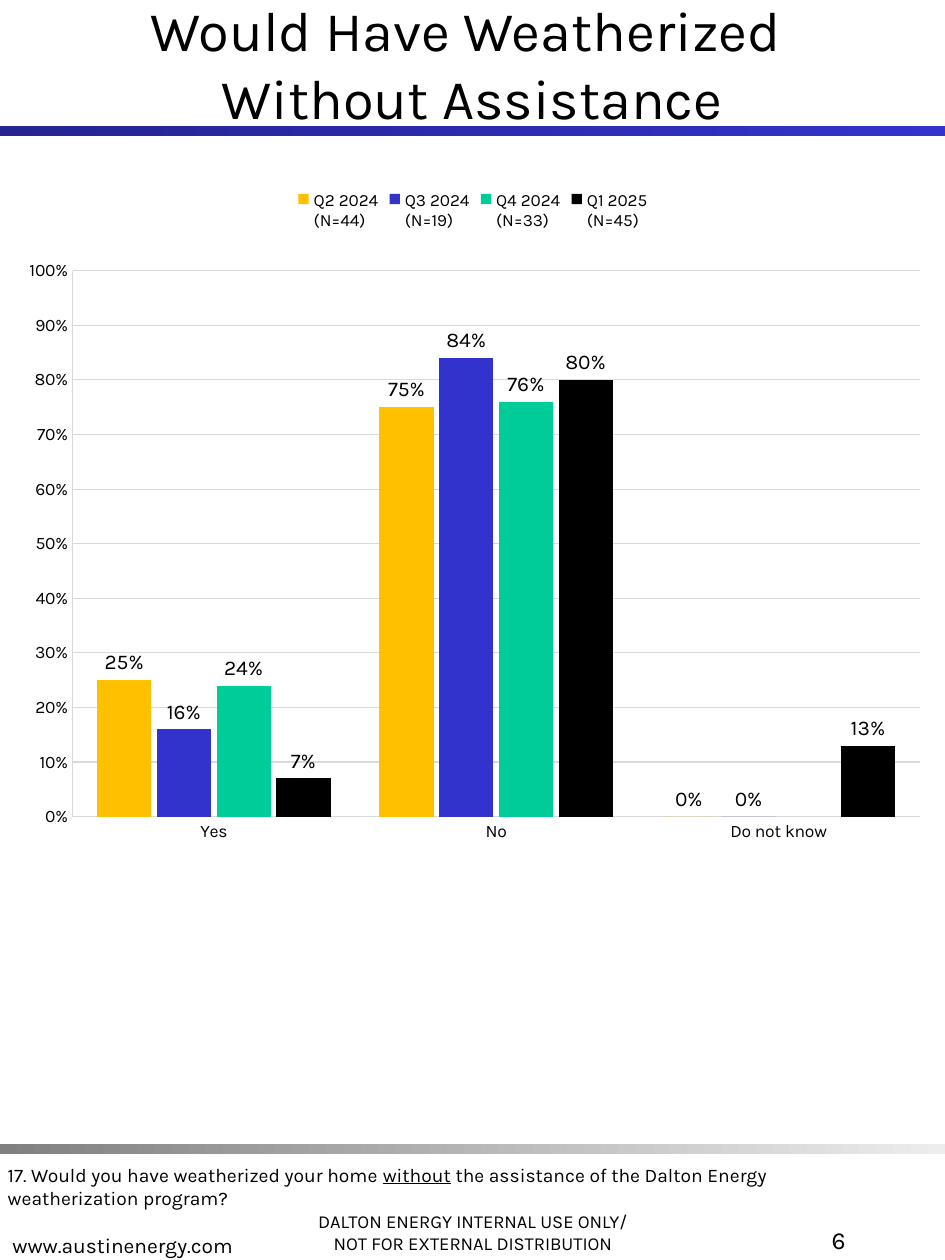
"""Build the weatherization survey slide with its clustered column chart."""
import lxml.etree
import pptx
import pptx.chart.data
import pptx.dml.color
import pptx.enum.chart
import pptx.enum.shapes
import pptx.enum.text
import pptx.oxml
import pptx.oxml.ns
import pptx.util

THEME = {
    "font": "Karla",
    "text": "000000",
    "rule": "D9D9D9",
    "title_bar": ("242492", "3333CC"),
    "footer_bar": ("808080", "EDEDED"),
    "series": ("FFC000", "3233CC", "00CC9A", "000000"),
    "title_size": 32,
    "number_size": 14,
    "label_size": 12,
    "url_size": 12,
    "question_size": 11,
    "notice_size": 10.5,
    "axis_size": 10,
    "legend_size": 9.8,
}

presentation = pptx.Presentation()
presentation.slide_width = pptx.util.Inches(7.5)
presentation.slide_height = pptx.util.Inches(10)
slide = presentation.slides.add_slide(presentation.slide_layouts[5])


def area(column, row, columns, rows):
    """Turn percentages of the slide into left, top, width and height."""
    across, down = presentation.slide_width / 100, presentation.slide_height / 100
    return [round(share) for share in (column * across, row * down, columns * across, rows * down)]


def style(font, size):
    """Apply the theme font and text colour at the named size."""
    font.name = THEME["font"]
    font.size = pptx.util.Pt(THEME[size])
    font.color.rgb = pptx.dml.color.RGBColor.from_string(THEME["text"])


for row, colours in ((10, "title_bar"), (90.8, "footer_bar")):
    bar = slide.shapes.add_shape(pptx.enum.shapes.MSO_SHAPE.RECTANGLE, *area(0, row, 100, 0.8))
    bar.shadow.inherit = False
    bar.line.fill.background()
    bar.fill.gradient()
    bar.fill.gradient_angle = 0
    for stop, colour in zip(bar.fill.gradient_stops, THEME[colours]):
        stop.color.rgb = pptx.dml.color.RGBColor.from_string(colour)

title = slide.shapes.title
title.left, title.top, title.width, title.height = area(0, 0, 100, 10)
title.text_frame.auto_size = pptx.enum.text.MSO_AUTO_SIZE.NONE
title.text_frame.vertical_anchor = pptx.enum.text.MSO_ANCHOR.MIDDLE
paragraph = title.text_frame.paragraphs[0]
paragraph.alignment = pptx.enum.text.PP_ALIGN.CENTER
for index, line in enumerate(("Would Have Weatherized ", "Without Assistance")):
    if index:
        paragraph.add_line_break()
    run = paragraph.add_run()
    run.text = line
    style(run.font, "title_size")

TOP, BOTTOM = pptx.enum.text.MSO_ANCHOR.TOP, pptx.enum.text.MSO_ANCHOR.BOTTOM
ALIGN = pptx.enum.text.PP_ALIGN
question = (
    "17. Would you have weatherized your home ",
    "without",
    " the assistance of the Dalton Energy weatherization program?",
)
notice = (("DALTON ENERGY INTERNAL USE ONLY/",), ("NOT FOR EXTERNAL DISTRIBUTION",))
texts = (
    (area(28.8, 93.3, 42.5, 6.7), BOTTOM, ALIGN.CENTER, "notice_size", notice),
    (area(0, 93.6, 42.5, 6.7), BOTTOM, ALIGN.LEFT, "url_size", (("www.austinenergy.com",),)),
    (area(70, 96.7, 20.8, 6.7), TOP, ALIGN.RIGHT, "number_size", (("6",),)),
    (area(-0.5, 91.8, 91.3, 4.8), TOP, ALIGN.LEFT, "question_size", (question,)),
)
for place, anchor, alignment, size, lines in texts:
    frame = slide.shapes.add_textbox(*place).text_frame
    frame.word_wrap = True
    frame.vertical_anchor = anchor
    for index, pieces in enumerate(lines):
        paragraph = frame.add_paragraph() if index else frame.paragraphs[0]
        paragraph.alignment = alignment
        for piece in pieces:
            run = paragraph.add_run()
            run.text = piece
            style(run.font, size)
            if piece == "without":
                run.font.underline = True

data = pptx.chart.data.CategoryChartData(number_format="0%")
data.categories = ("Yes", "No", "Do not know")
data.add_series("Q2 2024\n(N=44)", (0.25, 0.75, 0))
data.add_series("Q3 2024\n(N=19)", (0.16, 0.84, 0))
data.add_series("Q4 2024\n(N=33)", (0.24, 0.76, None))
data.add_series("Q1 2025\n(N=45)", (0.07, 0.8, 0.13))
chart = slide.shapes.add_chart(
    pptx.enum.chart.XL_CHART_TYPE.COLUMN_CLUSTERED, *area(0.8, 14, 98.5, 53.5), data
).chart
chart.has_title = False
style(chart.font, "axis_size")
chart.has_legend = True
chart.legend.position = pptx.enum.chart.XL_LEGEND_POSITION.TOP
chart.legend.include_in_layout = False
style(chart.legend.font, "legend_size")

plot = chart.plots[0]
plot.gap_width = 90
plot.overlap = -10
plot.vary_by_categories = False
for series, colour in zip(plot.series, THEME["series"]):
    series.format.fill.solid()
    series.format.fill.fore_color.rgb = pptx.dml.color.RGBColor.from_string(colour)
    series.invert_if_negative = False
    labels = series.data_labels
    labels.show_value = True
    labels.number_format = "0%"
    labels.number_format_is_linked = False
    labels.position = pptx.enum.chart.XL_LABEL_POSITION.OUTSIDE_END
    style(labels.font, "label_size")

values = chart.value_axis
values.minimum_scale, values.maximum_scale, values.major_unit = 0, 1, 0.1
values.tick_labels.number_format = "0%"
values.tick_labels.number_format_is_linked = False
values.has_major_gridlines = True
for axis in (chart.category_axis, values):
    axis.major_tick_mark = pptx.enum.chart.XL_TICK_MARK.NONE
    style(axis.tick_labels.font, "axis_size")
for line, width in (
    (chart.category_axis.format.line, 0.62),
    (values.format.line, 0.41),
    (values.major_gridlines.format.line, 0.62),
):
    line.color.rgb = pptx.dml.color.RGBColor.from_string(THEME["rule"])
    line.width = pptx.util.Pt(width)

plot_area = chart.element.find(".//" + pptx.oxml.ns.qn("c:plotArea"))
layout = plot_area.find(pptx.oxml.ns.qn("c:layout"))
if layout is None:
    layout = lxml.etree.Element(pptx.oxml.ns.qn("c:layout"))
    plot_area.insert(0, layout)
manual = lxml.etree.SubElement(layout, pptx.oxml.ns.qn("c:manualLayout"))
for tag, setting in (
    ("layoutTarget", "inner"), ("xMode", "edge"), ("yMode", "edge"),
    ("x", "0.07"), ("y", "0.14"), ("w", "0.91"), ("h", "0.81"),
):
    lxml.etree.SubElement(manual, pptx.oxml.ns.qn("c:" + tag)).set("val", setting)

presentation.save("out.pptx")
